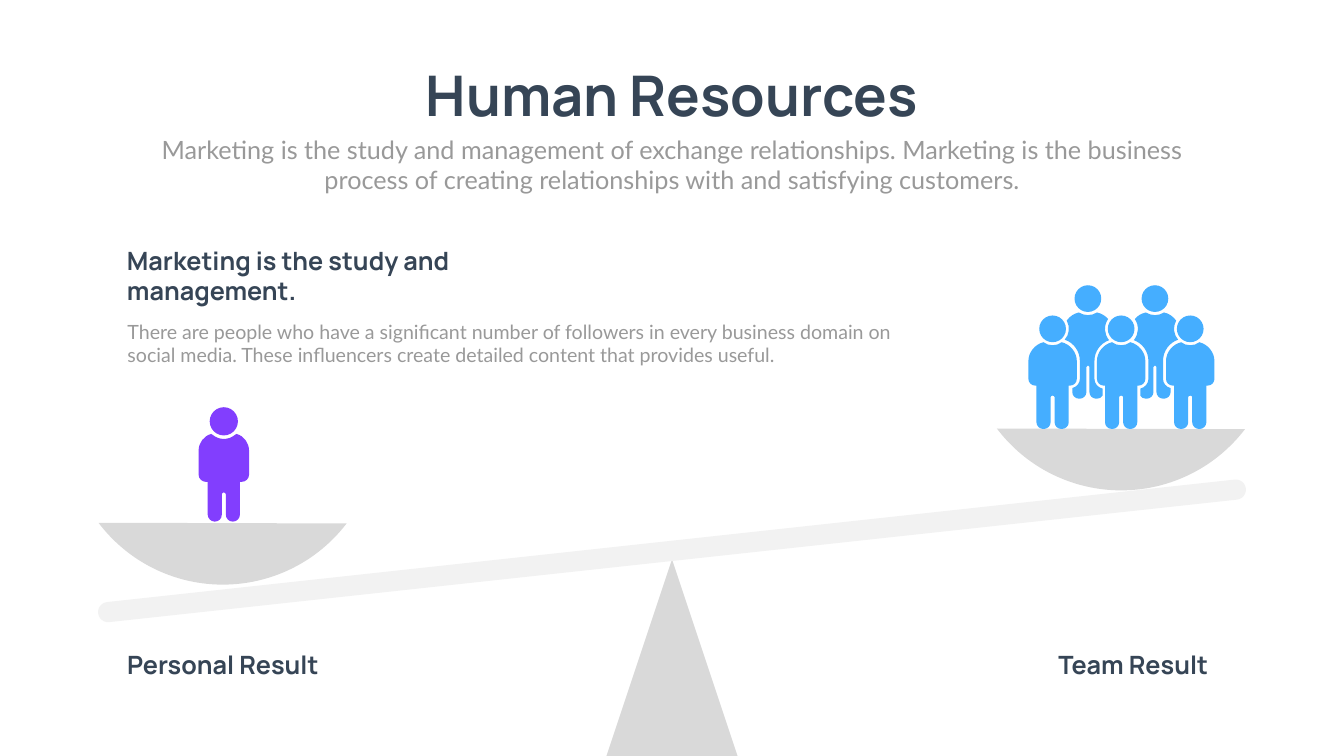
from lxml import etree
from pptx import Presentation
from pptx.dml.color import RGBColor
from pptx.enum.shapes import MSO_SHAPE
from pptx.enum.text import MSO_ANCHOR, MSO_AUTO_SIZE, PP_ALIGN
from pptx.oxml.ns import qn
from pptx.util import Inches, Pt

CHORD, OVAL = MSO_SHAPE.CHORD, MSO_SHAPE.OVAL
TRIANGLE, BEAM = MSO_SHAPE.ISOSCELES_TRIANGLE, MSO_SHAPE.ROUNDED_RECTANGLE
LEFT, CENTER = PP_ALIGN.LEFT, PP_ALIGN.CENTER
TOP, NO_AUTOFIT = MSO_ANCHOR.TOP, MSO_AUTO_SIZE.NONE

NAVY = RGBColor(0x36, 0x45, 0x56)
TEXT_GREY = RGBColor(0x99, 0x99, 0x99)
SCALE_GREY = RGBColor(0xD9, 0xD9, 0xD9)
BEAM_GREY = RGBColor(0xF2, 0xF2, 0xF2)
BLUE = RGBColor(0x45, 0xAE, 0xFF)
PURPLE = RGBColor(0x82, 0x3E, 0xFE)

# Outlines: a start point, then lines (2 numbers) and Bezier curves (6 numbers).
# Front bodies are symmetric: right half only, x from the body axis, y from the shoulders.
TEAM_HALF = [
    (0, .06), (.07, .06, .13, .04, .18, 0), (.35, .04, .48, .2, .48, .37), (.48, .73),
    (.48, .8, .42, .86, .35, .86), (.32, .86), (.32, 1.59),
    (.32, 1.66, .26, 1.72, .19, 1.72), (.17, 1.72), (.1, 1.72, .04, 1.66, .04, 1.59),
    (.04, 1.09), (.04, 1.07, .02, 1.06, 0, 1.06),
]
SINGLE_HALF = [
    (0, .1), (.08, .1, .16, .07, .22, .02), (.25, 0), (.4, .04, .5, .18, .5, .33),
    (.5, .81), (.5, .89, .43, .95, .36, .95), (.32, .95), (.32, 1.6),
    (.32, 1.67, .26, 1.74, .18, 1.74), (.1, 1.74, .04, 1.68, .04, 1.6),
    (.04, 1.2), (.04, 1.18, .02, 1.16, 0, 1.16),
]
# Back body, partly hidden by its neighbours: x from the head axis.
BACK_BODY = [
    (.13, 1.32), (.13, .96), (.13, .77, .25, .61, .42, .55),
    (.32, .43, .31, .26, .4, .13), (.34, .06, .27, .02, .18, 0),
    (.07, .07, -.07, .07, -.18, 0), (-.28, .02, -.36, .08, -.42, .16),
    (-.35, .29, -.37, .44, -.46, .54), (-.28, .6, -.16, .77, -.16, .96), (-.16, 1.32),
    (-.16, 1.4, -.22, 1.48, -.31, 1.5), (-.31, 1.58), (-.31, 1.65, -.25, 1.71, -.18, 1.71),
    (-.16, 1.71), (-.09, 1.71, -.03, 1.65, -.03, 1.58), (-.03, 1.08),
    (-.03, 1.06, -.02, 1.05, 0, 1.05), (.02, 1.05, .03, 1.07, .03, 1.08), (.03, 1.58),
    (.03, 1.65, .09, 1.71, .16, 1.71), (.18, 1.71), (.23, 1.71, .27, 1.69, .29, 1.65),
    (.29, 1.51), (.2, 1.49, .13, 1.41, .13, 1.32),
]


def add_mirrored_half(half):
    """Return the closed outline: the right half, then its mirror image walked backwards."""
    outline = list(half)
    for before, part in reversed(list(zip(half, half[1:]))):
        end_x, end_y = before[-2:]
        if len(part) == 6:
            x1, y1, x2, y2 = part[:4]
            outline.append((-x2, y2, -x1, y1, -end_x, end_y))
        else:
            outline.append((-end_x, end_y))
    return outline


def paint(shape, color):
    shape.shadow.inherit = False
    shape.fill.solid()
    shape.fill.fore_color.rgb = color
    shape.line.fill.background()


deck = Presentation()
deck.slide_width, deck.slide_height = Inches(26.66), Inches(15)
slide = deck.slides.add_slide(deck.slide_layouts[5])
shapes = slide.shapes

# Seesaw
for left, top in [(19.15, 3.55), (1.33, 5.42)]:
    pan = shapes.add_shape(CHORD, Inches(left), Inches(top), Inches(6.18), Inches(6.18))
    pan.adjustments[0], pan.adjustments[1] = 22.43, 85.76
    paint(pan, SCALE_GREY)

pivot = shapes.add_shape(TRIANGLE, Inches(12.03), Inches(11.1), Inches(2.6), Inches(3.9))
paint(pivot, SCALE_GREY)
beam = shapes.add_shape(BEAM, Inches(1.88), Inches(10.73), Inches(22.9), Inches(0.4))
beam.adjustments[0] = 0.5
beam.rotation = 353.8
paint(beam, BEAM_GREY)

# People
mirrored_back = [tuple(-n if i % 2 == 0 else n for i, n in enumerate(part))
                 for part in BACK_BODY]
team_body = add_mirrored_half(TEAM_HALF)
single_body = add_mirrored_half(SINGLE_HALF)

people = [  # body, axis, shoulder top, head top, head size, color
    (BACK_BODY, 21.58, 6.2, 5.66, 0.53, BLUE),
    (mirrored_back, 22.91, 6.2, 5.66, 0.53, BLUE),
    (team_body, 22.24, 6.79, 6.26, 0.53, BLUE),
    (team_body, 20.88, 6.79, 6.26, 0.53, BLUE),
    (team_body, 23.61, 6.79, 6.26, 0.53, BLUE),
    (single_body, 4.44, 8.61, 8.08, 0.56, PURPLE),
]
for outline, axis, shoulder_top, head_top, head_size, color in people:
    ends = [(Inches(axis + part[-2]), Inches(shoulder_top + part[-1])) for part in outline]
    builder = shapes.build_freeform(*ends[0])
    builder.add_line_segments(ends[1:], close=True)
    body = builder.convert_to_shape()
    paint(body, color)
    # Turn the straight segments that stand for curves into Bezier segments
    segments = list(body._element.iter(qn("a:lnTo")))
    for segment, part in zip(segments, outline[1:]):
        if len(part) == 6:
            segment.tag = qn("a:cubicBezTo")
            for position, (x, y) in enumerate([part[:2], part[2:4]]):
                control = etree.Element(qn("a:pt"))
                control.set("x", str(Inches(axis + x) - body.left))
                control.set("y", str(Inches(shoulder_top + y) - body.top))
                segment.insert(position, control)
    head = shapes.add_shape(OVAL, Inches(axis - head_size / 2), Inches(head_top),
                            Inches(head_size), Inches(head_size))
    paint(head, color)

# Texts
texts = [  # text, left, top, width, height, size, font, color, bold, alignment
    ("Human Resources", 7.97, 1.16, 10.72, 1.45, 80, "Manrope", NAVY, True, CENTER),
    ("Marketing is the study and management of exchange relationships. Marketing is the "
     "business process of creating relationships with and satisfying customers.",
     2.92, 2.61, 20.82, 1.31, 36, "Lato", TEXT_GREY, False, CENTER),
    ("Personal Result", 1.98, 12.83, 4.88, 0.71, 36, "Manrope", NAVY, True, CENTER),
    ("Team Result", 20.04, 12.83, 4.88, 0.71, 36, "Manrope", NAVY, True, CENTER),
    ("There are people who have a significant number of followers in every business domain "
     "on social media. These influencers create detailed content that provides useful.",
     2.43, 6.29, 15.64, 1.04, 28, "Lato", TEXT_GREY, False, LEFT),
    ("Marketing is the study and management.",
     2.42, 4.82, 8.16, 1.31, 36, "Manrope", NAVY, True, LEFT),
]
for index, (text, left, top, width, height, size, font, color, bold, align) in enumerate(texts):
    box = shapes.title if index == 0 else shapes.add_textbox(0, 0, 0, 0)
    box.left, box.top = Inches(left), Inches(top)
    box.width, box.height = Inches(width), Inches(height)
    frame = box.text_frame
    frame.word_wrap = True
    frame.auto_size = NO_AUTOFIT
    frame.vertical_anchor = TOP
    frame.text = text
    para = frame.paragraphs[0]
    para.alignment = align
    span = para.runs[0]
    span.font.name, span.font.size = font, Pt(size)
    span.font.bold, span.font.color.rgb = bold, color

deck.save("out.pptx")
